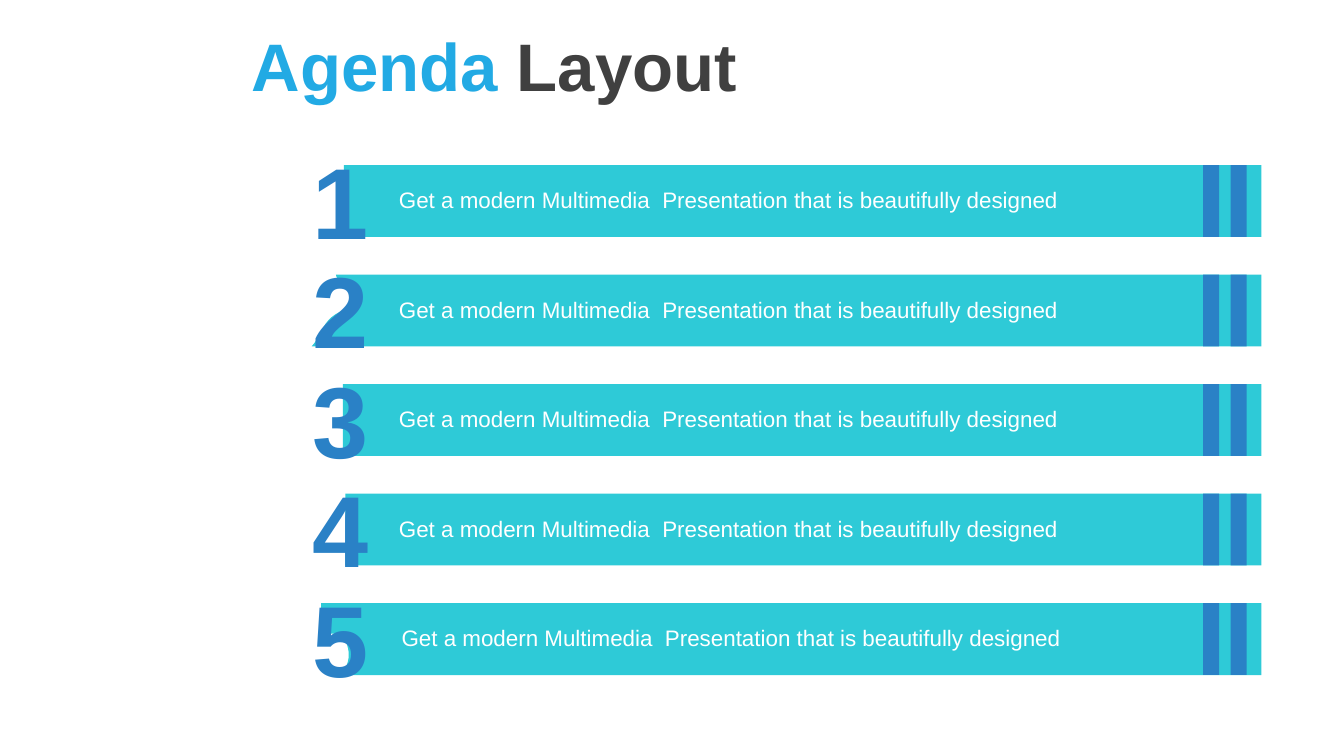
from pptx import Presentation
from pptx.dml.color import RGBColor
from pptx.enum.shapes import MSO_SHAPE
from pptx.enum.text import MSO_ANCHOR, MSO_AUTO_SIZE, PP_ALIGN
from pptx.util import Cm, Pt

COLORS = {"bar": "2ECAD7", "blue": "2A81C6", "sky": "22AAE4",
          "dark": "404040", "white": "FFFFFF"}
LABEL = "Get a modern Multimedia  Presentation that is beautifully designed"
FIRST, PITCH = 3.12, 2.07
LEFT, WIDTH, HEIGHT = 5.66, 18.18, 1.36


def curve(a, b, c, d, steps=12):
    """Return points along a cubic Bezier curve, both ends included."""
    points = []
    for i in range(steps + 1):
        t = i / steps
        u = 1 - t
        points.append(tuple(
            u**3 * p + 3 * u * u * t * q + 3 * u * t * t * r + t**3 * s
            for p, q, r, s in zip(a, b, c, d)))
    return points


# Left end of each bar: a plain offset, or an outline from bottom to top.
WAVE = (curve((0.23, HEIGHT), (0.46, 1.11), (0.41, 0.83), (0.87, 0.66))
        + curve((0.87, 0.66), (1.3, 0.25), (0.69, 0.2), (0.69, 0))[1:])
NOTCH = (curve((0.79, HEIGHT), (0.97, 1.12), (0.99, 0.86), (0.79, 0.58))
         + [(0.41, 0.58), (0.41, 0)])
ENDS = [0.84, WAVE, 0.82, 0.87, NOTCH]


def paint(shape, color):
    shape.shadow.inherit = False
    shape.fill.solid()
    shape.fill.fore_color.rgb = RGBColor.from_string(COLORS[color])
    shape.line.fill.background()


def block(slide, color, *box):
    shape = slide.shapes.add_shape(MSO_SHAPE.RECTANGLE, *map(Cm, box))
    paint(shape, color)


def outline(slide, color, points):
    dots = [(Cm(x), Cm(y)) for x, y in points]
    pen = slide.shapes.build_freeform(*dots[0])
    pen.add_line_segments(dots[1:], close=True)
    paint(pen.convert_to_shape(), color)


def write(para, text, color, **style):
    run = para.add_run()
    run.text = text
    for name, value in {"name": "Arial", **style}.items():
        setattr(run.font, name, value)
    run.font.color.rgb = RGBColor.from_string(COLORS[color])


def label(slide, box, text, color, frame, align, **style):
    area = slide.shapes.add_textbox(*map(Cm, box)).text_frame
    for name, value in {"word_wrap": True, **frame}.items():
        setattr(area, name, value)
    area.auto_size = MSO_AUTO_SIZE.SHAPE_TO_FIT_TEXT
    area.paragraphs[0].alignment = align
    write(area.paragraphs[0], text, color, **style)


def head(slide, x, y, w, h):
    title = slide.shapes.title
    for name, value in zip(("left", "top", "width", "height"), (x, y, w, h)):
        setattr(title, name, Cm(value))
    area = title.text_frame
    area.vertical_anchor = MSO_ANCHOR.MIDDLE
    area.auto_size = MSO_AUTO_SIZE.NONE
    para = area.paragraphs[0]
    para.alignment = PP_ALIGN.LEFT
    for text, color in (("Agenda ", "sky"), ("Layout", "dark")):
        write(para, text, color, size=Pt(36), bold=True)


def row(slide, num, end, x, y, w, h):
    """Place one agenda bar with its stripes, number and text."""
    if isinstance(end, list):
        edge = [(x + dx, y + dy) for dx, dy in end]
        outline(slide, "bar", edge + [(x + w, y), (x + w, y + h)])
    else:
        block(slide, "bar", x + end, y, w - end, h)
    for gap in (1.1, 0.58):
        block(slide, "blue", x + w - gap, y, 0.3, h)
    label(slide, (x, y - 0.64, 1.24, 2.57), str(num), "blue",
          {"vertical_anchor": MSO_ANCHOR.MIDDLE}, PP_ALIGN.CENTER,
          size=Pt(54), bold=True)
    shift = 1.68 if num == len(ENDS) else 1.63
    label(slide, (x + shift, y + 0.28, 13.9, 0.76), LABEL, "white",
          {}, PP_ALIGN.LEFT, size=Pt(12))


def main():
    deck = Presentation()
    deck.slide_width, deck.slide_height = Cm(25.4), Cm(14.29)
    slide = deck.slides.add_slide(deck.slide_layouts[5])
    head(slide, 4.5, 0, 20.9, 2.46)
    for i, end in enumerate(ENDS):
        row(slide, i + 1, end, LEFT, FIRST + i * PITCH, WIDTH, HEIGHT)
    deck.save("out.pptx")


if __name__ == "__main__":
    main()
